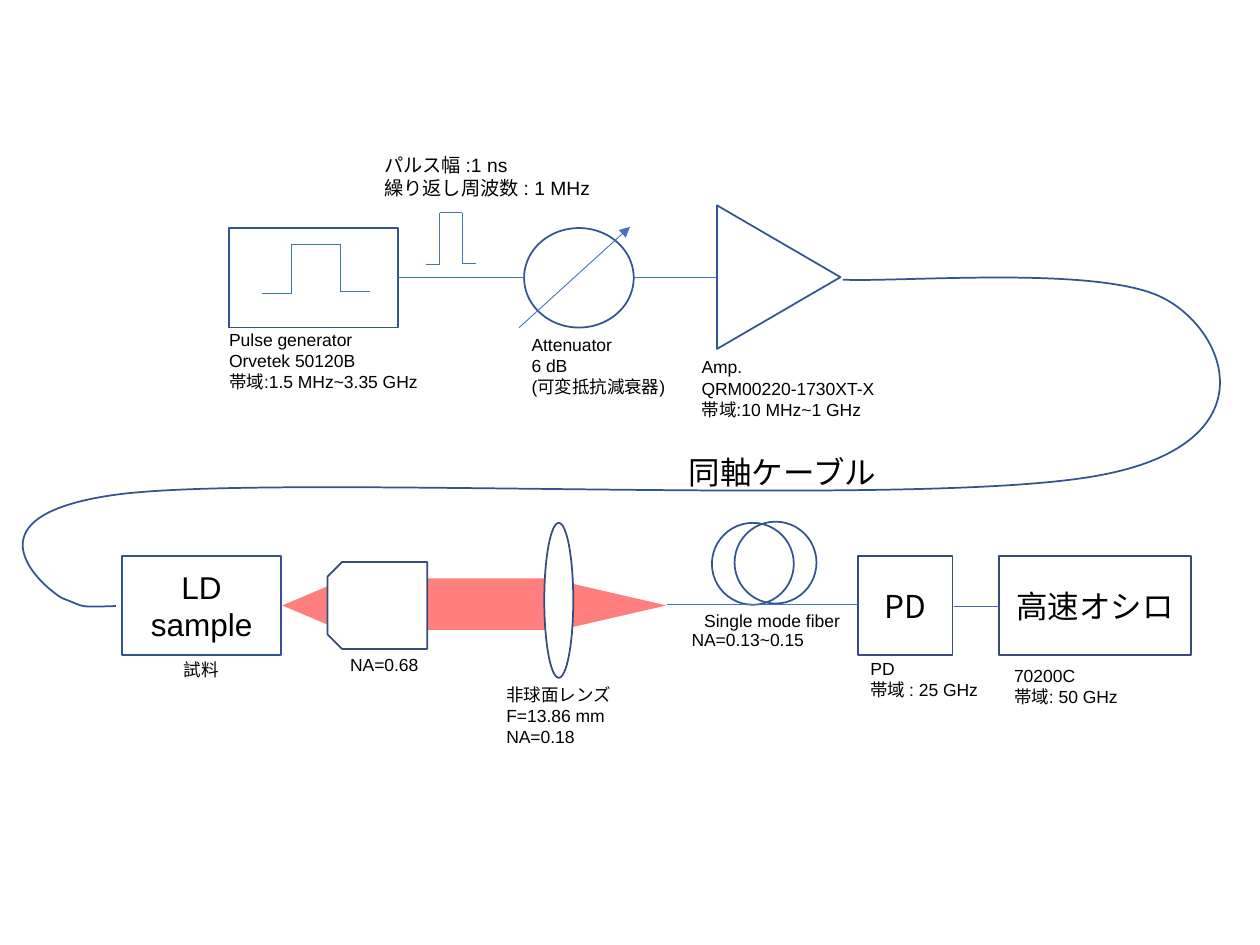
from dataclasses import dataclass
from typing import Optional

import pptx
import pptx.dml.color
import pptx.enum.shapes
import pptx.enum.text
import pptx.oxml
import pptx.oxml.ns
import pptx.util

PX = 9144  # EMU per px, 100 px to the inch
Kind = pptx.enum.shapes.MSO_SHAPE


@dataclass(frozen=True)
class Theme:
    text: str = "000000"
    outline: str = "325491"
    optics: str = "374B7F"
    wire: str = "4472C4"
    link: str = "4A66AC"
    beam: str = "FF0000"
    white: str = "FFFFFF"
    latin: str = "Arial"
    japanese: str = "Noto Sans CJK JP"
    small: int = 10
    medium: int = 11
    large: int = 18
    thin: float = 0.5
    thick: float = 1


THEME = Theme()


@dataclass(frozen=True)
class Part:
    kind: Kind
    left: int
    top: int
    width: int
    height: int
    line: Optional[str] = THEME.outline
    fill: Optional[str] = None
    rotation: int = 0
    text: str = ""
    font: str = THEME.latin


@dataclass(frozen=True)
class Label:
    lines: tuple
    left: int
    top: int
    width: int
    height: int
    size: int = THEME.small
    wrap: bool = True


@dataclass(frozen=True)
class Wire:
    x1: int
    y1: int
    x2: int
    y2: int
    color: str = THEME.wire
    arrow: bool = False


def rgb(color: str) -> pptx.dml.color.RGBColor:
    return pptx.dml.color.RGBColor.from_string(color)


def add_xml(parent, tag: str, **attributes: str):
    element = pptx.oxml.parse_xml(f"<a:{tag} {pptx.oxml.ns.nsdecls('a')}/>")
    for name, value in attributes.items():
        element.set(name, value)
    parent.append(element)
    return element


def style_paragraph(paragraph, text: str, size: int, font: str = THEME.latin) -> None:
    paragraph.text = text
    paragraph.font.size = pptx.util.Pt(size)
    paragraph.font.name = font
    paragraph.font.color.rgb = rgb(THEME.text)
    add_xml(paragraph.font._element, "ea", typeface=THEME.japanese)


def style_line(shape, color: str, width: float) -> None:
    shape.line.color.rgb = rgb(color)
    shape.line.width = pptx.util.Pt(width)


def draw_part(shapes, part: Part) -> None:
    shape = shapes.add_shape(part.kind, part.left * PX, part.top * PX,
                             part.width * PX, part.height * PX)
    shape.shadow.inherit = False
    shape.rotation = part.rotation
    if part.fill:
        shape.fill.solid()
        shape.fill.fore_color.rgb = rgb(part.fill)
        if part.fill == THEME.beam:
            color = shape.fill._xPr.find(".//" + pptx.oxml.ns.qn("a:srgbClr"))
            add_xml(color, "alpha", val="50000")
    else:
        shape.fill.background()
    if part.line:
        style_line(shape, part.line, THEME.thick)
    else:
        shape.line.fill.background()
    if part.text:
        frame = shape.text_frame
        frame.word_wrap = True
        frame.vertical_anchor = pptx.enum.text.MSO_ANCHOR.MIDDLE
        style_paragraph(frame.paragraphs[0], part.text, THEME.large, part.font)
        frame.paragraphs[0].alignment = pptx.enum.text.PP_ALIGN.CENTER


def draw_label(shapes, label: Label) -> None:
    box = shapes.add_textbox(label.left * PX, label.top * PX,
                             label.width * PX, label.height * PX)
    frame = box.text_frame
    frame.word_wrap = label.wrap
    frame.auto_size = pptx.enum.text.MSO_AUTO_SIZE.SHAPE_TO_FIT_TEXT
    for index, text in enumerate(label.lines):
        paragraph = frame.add_paragraph() if index else frame.paragraphs[0]
        style_paragraph(paragraph, text, label.size)


def draw_wire(shapes, wire: Wire) -> None:
    connector = shapes.add_connector(
        pptx.enum.shapes.MSO_CONNECTOR.STRAIGHT,
        wire.x1 * PX, wire.y1 * PX, wire.x2 * PX, wire.y2 * PX)
    style_line(connector, wire.color, THEME.thin)
    if wire.arrow:
        add_xml(connector.line._get_or_add_ln(), "tailEnd", type="triangle")
    add_xml(connector._element.spPr, "effectLst")


def draw_pulse(shapes, xs: tuple, top: int, base: int, end: int) -> None:
    """Square pulse: base line, rise, plateau, fall, and end line."""
    start, rise, fall, stop = xs
    points = [(start, base), (rise, base), (rise, top), (fall, top), (fall, end), (stop, end)]
    for first, second in zip(points, points[1:]):
        draw_wire(shapes, Wire(*first, *second))


def draw_cable(shapes, bounds: tuple, start: tuple, curves: list) -> None:
    left, top, right, bottom = bounds
    builder = shapes.build_freeform(left, top, scale=PX)
    builder.add_line_segments([(right, bottom)], close=False)
    shape = builder.convert_to_shape()
    shape.shadow.inherit = False
    shape.fill.background()
    style_line(shape, THEME.outline, THEME.thick)
    # Turn the diagonal into Bezier curves inside the same frame
    outline = shape._element.find(".//" + pptx.oxml.ns.qn("a:path"))
    outline.set("w", str(right - left))
    outline.set("h", str(bottom - top))
    for segment in list(outline):
        outline.remove(segment)
    for tag, points in [("moveTo", [start])] + [("cubicBezTo", curve) for curve in curves]:
        segment = add_xml(outline, tag)
        for x, y in points:
            add_xml(segment, "pt", x=str(x - left), y=str(y - top))


PARTS = [
    # Electrical row
    Part(Kind.OVAL, 416, 181, 87, 79),
    Part(Kind.RECTANGLE, 182, 181, 134, 79),
    Part(Kind.ISOSCELES_TRIANGLE, 561, 171, 114, 98, rotation=90),
    # Optical row
    Part(Kind.RECTANGLE, 97, 441, 126, 79, text="LD sample"),
    Part(Kind.RECTANGLE, 681, 441, 75, 79, THEME.optics, text="PD", font=THEME.japanese),
    Part(Kind.RECTANGLE, 793, 441, 152, 79, THEME.optics, text="高速オシロ", font=THEME.japanese),
    # Beam, then the lenses over it
    Part(Kind.ISOSCELES_TRIANGLE, 230, 441, 67, 79, None, THEME.beam, 270),
    Part(Kind.RECTANGLE, 298, 459, 142, 41, None, THEME.beam),
    Part(Kind.ISOSCELES_TRIANGLE, 464, 436, 41, 89, None, THEME.beam, 90),
    Part(Kind.OVAL, 432, 415, 23, 123, THEME.optics, THEME.white),
    Part(Kind.SNIP_2_SAME_RECTANGLE, 265, 441, 69, 79, THEME.optics, THEME.white, 270),
    # Fiber loops
    Part(Kind.OVAL, 565, 415, 65, 65),
    Part(Kind.OVAL, 583, 414, 65, 65),
]

WIRES = [
    Wire(316, 220, 416, 220),
    Wire(503, 220, 569, 220),
    Wire(412, 260, 500, 180, arrow=True),
    Wire(529, 480, 681, 480),
    Wire(757, 481, 793, 481, THEME.link),
]

LABELS = [
    Label(("パルス幅 :1 ns", "繰り返し周波数 : 1 MHz"), 295, 117, 247, 47, THEME.medium),
    Label(("Pulse generator", "Orvetek 50120B", "帯域:1.5 MHz~3.35 GHz"), 172, 256, 195, 61),
    Label(("Attenuator", "6 dB", "(可変抵抗減衰器)"), 412, 260, 129, 61),
    Label(("Amp.", "QRM00220-1730XT-X", "帯域:10 MHz~1 GHz"), 547, 278, 200, 61),
    Label(("同軸ケーブル",), 537, 355, 263, 40, THEME.large),
    Label(("試料",), 136, 518, 86, 27),
    Label(("NA=0.68",), 268, 514, 75, 27, wrap=False),
    Label(("非球面レンズ", "F=13.86 mm", "NA=0.18"), 392, 538, 146, 61),
    Label(("Single mode fiber",), 549, 479, 188, 27),
    Label(("NA=0.13~0.15",), 539, 494, 110, 27, wrap=False),
    Label(("PD", "帯域 : 25 GHz"), 681, 517, 125, 44),
    Label(("70200C", "帯域: 50 GHz"), 795, 523, 130, 44),
]

CABLE_BOUNDS = (18, 220, 968, 481)
CABLE_START = (92, 481)
CABLE_CURVES = [
    [(60, 482), (69, 482), (50, 475)],
    [(41, 471), (-40, 409), (97, 392)],
    [(234, 376), (736, 404), (874, 377)],
    [(1011, 351), (973, 259), (920, 235)],
    [(867, 211), (717, 224), (669, 222)],
]


def main() -> None:
    presentation = pptx.Presentation()
    presentation.slide_width, presentation.slide_height = 1000 * PX, 750 * PX
    slide = presentation.slides.add_slide(presentation.slide_layouts[6])
    shapes = slide.shapes
    for part in PARTS:
        draw_part(shapes, part)
    for wire in WIRES:
        draw_wire(shapes, wire)
    # Pulse in the generator, and the pulse it sends out
    draw_pulse(shapes, (208, 231, 270, 294), 194, 233, 231)
    draw_pulse(shapes.add_group_shape().shapes, (338, 349, 367, 378), 169, 210, 209)
    draw_cable(shapes, CABLE_BOUNDS, CABLE_START, CABLE_CURVES)
    for label in LABELS:
        draw_label(shapes, label)
    presentation.save("out.pptx")


if __name__ == "__main__":
    main()
